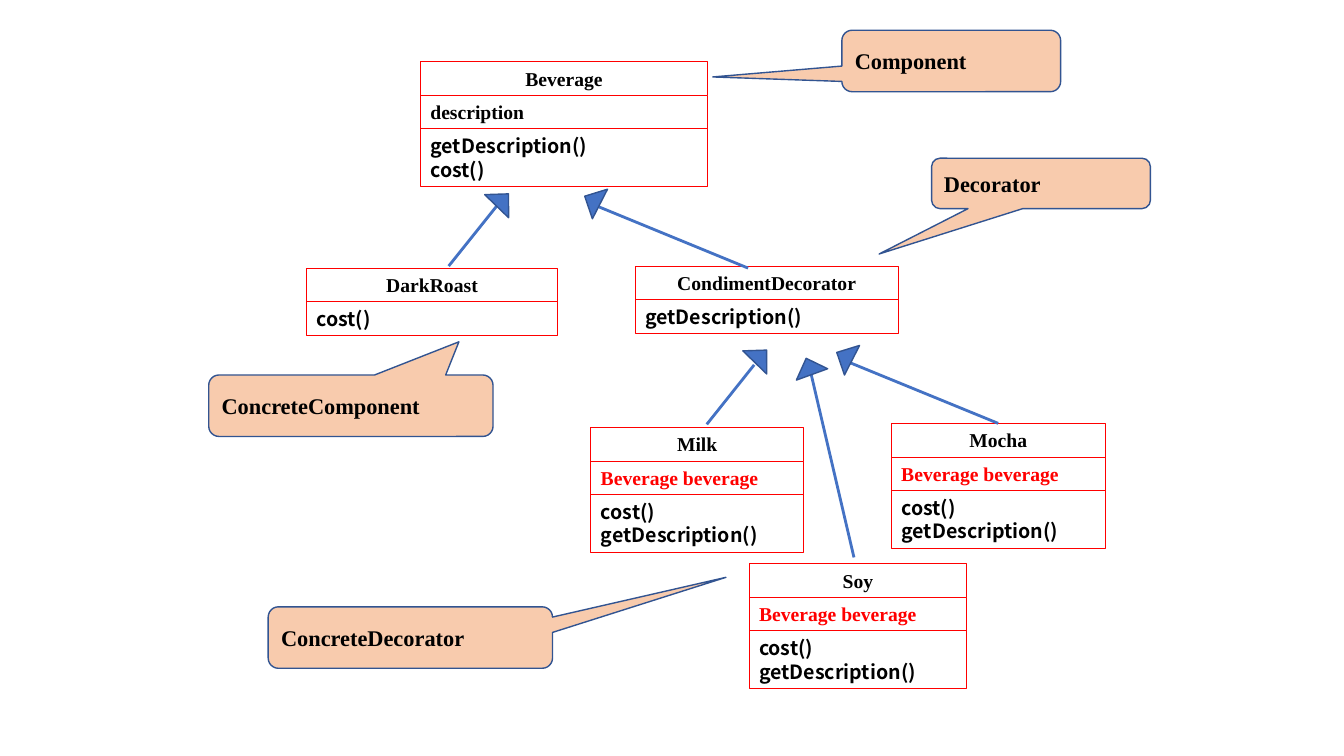
"""Draw the class diagram of the decorator pattern for beverages."""
from dataclasses import dataclass

from lxml import etree
from pptx import Presentation
from pptx import util as u
from pptx.dml.color import RGBColor
from pptx.enum import shapes, text
from pptx.oxml import ns

RED, BLACK, WHITE = "FF0000", "000000", "FFFFFF"
BLUE, NAVY, PEACH = "4472C4", "325491", "F8CBAD"
SERIF, SANS = "Times New Roman", "Noto Sans CJK SC"
ROW_H = 0.67 / 2
METHODS_H = 0.57
TITLE = {"name": SERIF, "size": u.Pt(14), "bold": True}
METHOD = {**TITLE, "name": SANS}
LABEL = {**TITLE, "size": u.Pt(16)}
CELL = {"word_wrap": True, "auto_size": text.MSO_AUTO_SIZE.SHAPE_TO_FIT_TEXT,
        "vertical_anchor": text.MSO_ANCHOR.TOP}
NOTE = {"word_wrap": True, "vertical_anchor": text.MSO_ANCHOR.MIDDLE}


@dataclass
class ClassBox:
    name: str
    left: float
    top: float
    width: float
    methods: tuple[str, ...]
    field: str = ""
    field_color: str = RED


@dataclass
class Arrow:
    head: tuple[float, float]
    rotation: int
    start: tuple[float, float]
    end: tuple[float, float]
    joins: str = ""


@dataclass
class Callout:
    label: str
    left: float
    top: float
    width: float
    height: float
    tip: tuple[float, float]


COST, DESCRIBE, WRAPPED = "cost()", "getDescription()", "Beverage beverage"
CLASSES = [
    ClassBox("DarkRoast", 3.04, 2.66, 2.49, (COST,)),
    ClassBox("CondimentDecorator", 6.3, 2.64, 2.61, (DESCRIBE,)),
    ClassBox("Milk", 5.86, 4.24, 2.11, (COST, DESCRIBE), WRAPPED),
    ClassBox("Beverage", 4.17, 0.61, 2.85, (DESCRIBE, COST), "description", BLACK),
    ClassBox("Mocha", 8.84, 4.2, 2.12, (COST, DESCRIBE), WRAPPED),
    ClassBox("Soy", 7.43, 5.59, 2.16, (COST, DESCRIBE), WRAPPED),
]
ARROWS = [
    Arrow((4.82, 1.9), 44, (4.93, 2.04), (4.45, 2.64)),
    Arrow((5.71, 1.9), 297, (5.91, 2.04), (7.42, 2.66)),
    Arrow((7.38, 3.45), 44, (7.48, 3.62), (7.01, 4.21)),
    Arrow((8.21, 3.45), 297, (8.41, 3.59), (9.92, 4.21), "Mocha"),
    Arrow((7.86, 3.55), 340, (8.04, 3.69), (8.47, 5.53)),
]
CALLOUTS = [
    Callout("Component", 8.35, 0.3, 2.17, 0.61, (-1.09, 0.26)),
    Callout("Decorator", 9.24, 1.57, 2.17, 0.5, (-0.74, 1.4)),
    Callout("ConcreteComponent", 2.07, 3.72, 2.82, 0.61, (0.38, -1.04)),
    Callout("ConcreteDecorator", 2.66, 6.02, 2.82, 0.61, (1.11, -0.98)),
]


def rgb(value: str) -> RGBColor:
    return RGBColor.from_string(value)


def set_all(target, values: dict) -> None:
    for key, value in values.items():
        setattr(target, key, value)


def add_shape(parent, kind, box: tuple, fill: str, line: str, width: float):
    s = parent.add_shape(kind, *map(u.Inches, box))
    s.shadow.inherit = False
    s.fill.solid()
    s.fill.fore_color.rgb = rgb(fill)
    s.line.color.rgb = rgb(line)
    s.line.width = u.Pt(width)
    return s


def write(s, lines: tuple, frame: dict, font: dict, color: str = BLACK,
          align=text.PP_ALIGN.LEFT) -> None:
    tf = s.text_frame
    set_all(tf, frame)
    for i, line in enumerate(lines):
        p = tf.add_paragraph() if i else tf.paragraphs[0]
        p.alignment = align
        r = p.add_run()
        r.text = line
        set_all(r.font, font)
        r.font.color.rgb = rgb(color)


def add_class(slide, c: ClassBox):
    """Stack the compartments of a class and return the title one."""
    group = slide.shapes.add_group_shape().shapes
    left, center = text.PP_ALIGN.LEFT, text.PP_ALIGN.CENTER
    rows = [((c.name,), TITLE, BLACK, center)]
    if c.field:
        rows.append(((c.field,), TITLE, c.field_color, left))
    rows.append((c.methods, METHOD, BLACK, left))
    top, cells = c.top, []
    for lines, font, color, align in rows:
        height = METHODS_H if len(lines) > 1 else ROW_H
        s = add_shape(group, shapes.MSO_SHAPE.RECTANGLE,
                      (c.left, top, c.width, height), WHITE, RED, 0.75)
        write(s, lines, CELL, font, color, align)
        cells.append(s)
        top += height
    return cells[0]


def add_arrow(slide, a: Arrow, titles: dict) -> None:
    s = slide.shapes.add_connector(shapes.MSO_CONNECTOR.STRAIGHT,
                                   *map(u.Inches, a.start + a.end))
    s.line.color.rgb = rgb(BLUE)
    s.line.width = u.Pt(2)
    etree.SubElement(s._element.spPr, ns.qn("a:effectLst"))
    if a.joins:
        s.end_connect(titles[a.joins], 0)
    head = add_shape(slide.shapes, shapes.MSO_SHAPE.ISOSCELES_TRIANGLE,
                     (*a.head, 0.33, 0.17), BLUE, NAVY, 1)
    head.rotation = a.rotation


def add_callout(slide, c: Callout) -> None:
    s = add_shape(slide.shapes, shapes.MSO_SHAPE.ROUNDED_RECTANGULAR_CALLOUT,
                  (c.left, c.top, c.width, c.height), PEACH, NAVY, 1)
    s.adjustments[0], s.adjustments[1] = c.tip
    write(s, (c.label,), NOTE, LABEL)


def main() -> None:
    prs = Presentation()
    prs.slide_width, prs.slide_height = u.Inches(13.33), u.Inches(7.5)
    slide = prs.slides.add_slide(prs.slide_layouts[6])
    titles = {c.name: add_class(slide, c) for c in CLASSES}
    for a in ARROWS:
        add_arrow(slide, a, titles)
    for c in CALLOUTS:
        add_callout(slide, c)
    prs.save("out.pptx")


if __name__ == "__main__":
    main()
